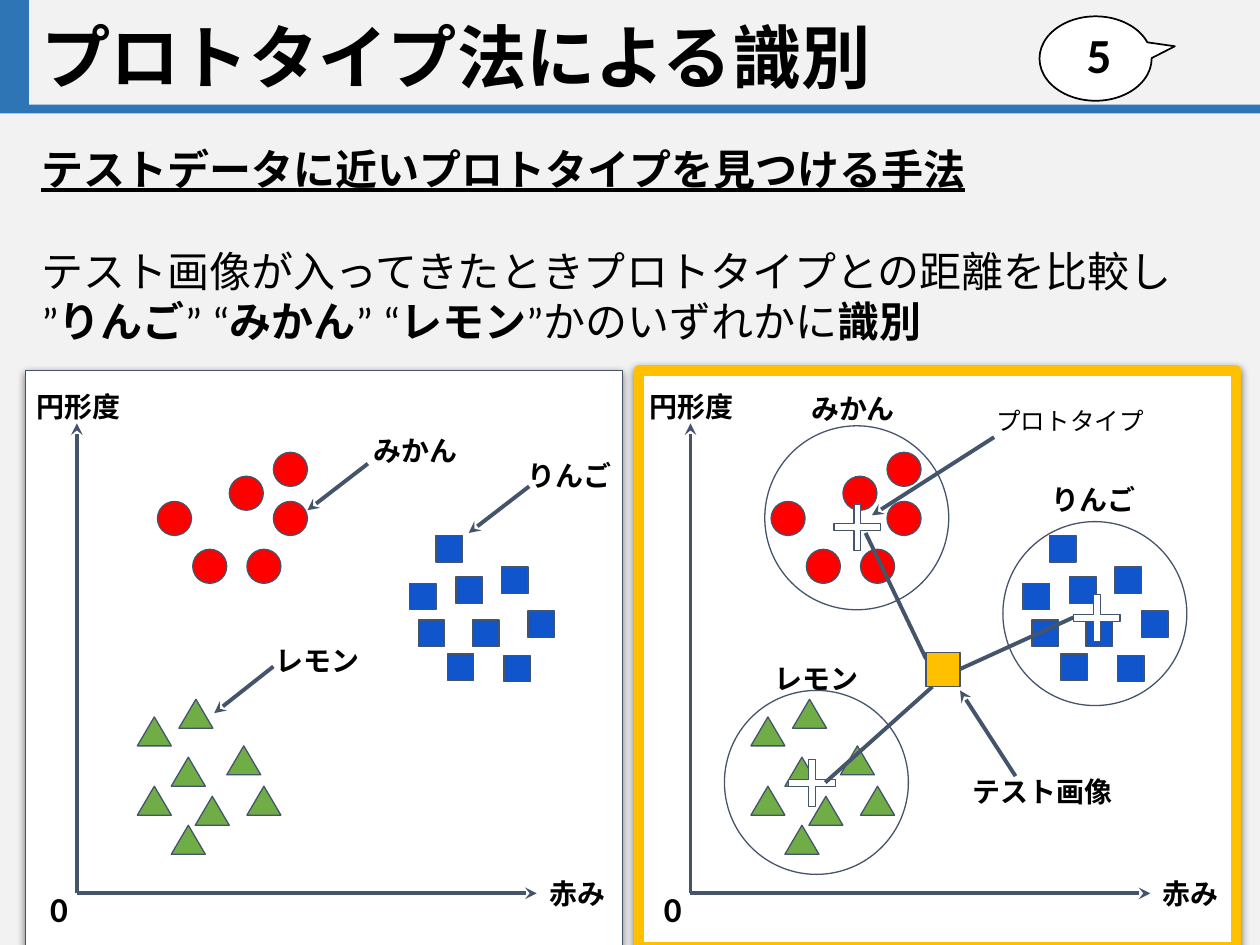
from lxml import etree
from pptx import Presentation
from pptx.dml.color import RGBColor
from pptx.enum.shapes import MSO_CONNECTOR as Connector, MSO_SHAPE as Preset
from pptx.enum.text import MSO_ANCHOR as Anchor, PP_ALIGN as Align
from pptx.oxml import parse_xml
from pptx.oxml.ns import qn
from pptx.util import Inches, Pt

NAMESPACE = "http://schemas.openxmlformats.org/drawingml/2006/main"
SLATE, BLUE, WHITE, GOLD = "44546A", "2E75B5", "FFFFFF", "FFC000"
PANEL_LEFT, PANEL_STEP = 0.2, 4.87

ORANGES = [(2.17, 3.59), (1.53, 4.36), (1.96, 4.36), (1.25, 3.98), (1.82, 3.78), (2.17, 3.98)]
LEMONS = [(1.09, 6.24), (1.55, 6.32), (1.36, 6.01), (1.96, 6.24),
          (1.8, 5.92), (1.09, 5.69), (1.36, 6.55), (1.42, 5.55)]
APPLES = [(3.46, 4.25), (4, 5.2), (4.19, 4.85), (3.75, 4.92), (3.25, 4.63),
          (3.98, 4.5), (3.62, 4.58), (3.55, 5.19), (3.32, 4.92)]
CLASSES = [
    (ORANGES, Preset.FLOWCHART_CONNECTOR, 0.27, 0.27, "FF0000"),
    (LEMONS, Preset.FLOWCHART_EXTRACT, 0.27, 0.23, "70AD47"),
    (APPLES, Preset.FLOWCHART_PROCESS, 0.21, 0.21, "1155CC"),
]


def color(value):
    """Turn a hex string into a colour."""
    return RGBColor.from_string(value)


def add_shape(slide, preset, left, top, width, height, fill=None, line=SLATE, weight=0.75):
    """Add a preset shape without shadow; None means no fill or no line."""
    shape = slide.shapes.add_shape(preset, Inches(left), Inches(top), Inches(width), Inches(height))
    shape.shadow.inherit = False
    if fill:
        shape.fill.solid()
        shape.fill.fore_color.rgb = color(fill)
    else:
        shape.fill.background()
    if line:
        shape.line.color.rgb = color(line)
        shape.line.width = Pt(weight)
    else:
        shape.line.fill.background()
    return shape


def add_line(slide, start, end, arrow=True):
    """Add a straight line, with an arrowhead at its end if wanted."""
    points = [Inches(value) for value in (*start, *end)]
    connector = slide.shapes.add_connector(Connector.STRAIGHT, *points)
    connector.line.color.rgb = color(SLATE)
    connector.line.width = Pt(2.25)
    if arrow:
        etree.SubElement(connector.line._get_or_add_ln(), qn("a:tailEnd"), type="stealth")
    etree.SubElement(connector._element.spPr, qn("a:effectLst"))


def add_text(slide, text, left, top, width, height, size=16, bold=True, font="Calibri",
             inset=0.1, anchor=Anchor.TOP, align=Align.LEFT, spacing=None,
             underlined=None, gap_before=None, gap=0):
    """Add a text box; each asterisk switches bold, each line is a paragraph."""
    frame = slide.shapes.add_textbox(Inches(left), Inches(top), Inches(width), Inches(height)).text_frame
    frame.word_wrap = True
    frame.vertical_anchor = anchor
    frame.margin_left = frame.margin_right = Inches(0.1)
    frame.margin_top = frame.margin_bottom = Inches(inset)
    for index, content in enumerate(text.split("\n")):
        paragraph = frame.add_paragraph() if index else frame.paragraphs[0]
        paragraph.alignment = align
        paragraph.line_spacing = spacing
        if index == gap_before:
            paragraph.space_before = Pt(gap)
        for position, part in enumerate(content.split("*")):
            if not part:
                continue
            run = paragraph.add_run()
            run.text = part
            run.font.size = Pt(size)
            run.font.bold = bold != (position % 2 == 1)
            run.font.underline = index == underlined
            run.font.color.rgb = color("000000")
            run.font.name = font
            etree.SubElement(run.font._element, qn("a:ea"), typeface=font)


def add_panel(slide, shift, line, weight):
    """Add one scatter panel with axes, axis names and fruit points."""
    panel = add_shape(slide, Preset.RECTANGLE, PANEL_LEFT + shift, 2.94, 4.74, 4.58, WHITE, line, weight)
    properties = panel._element.spPr
    properties.remove(properties.find(qn("a:effectLst")))
    properties.append(parse_xml(
        f'<a:effectLst xmlns:a="{NAMESPACE}"><a:outerShdw blurRad="57150" dist="19050" dir="5400000">'
        '<a:srgbClr val="000000"><a:alpha val="50000"/></a:srgbClr></a:outerShdw></a:effectLst>'))
    origin = (0.61 + shift, 7.09)
    add_line(slide, origin, (0.61 + shift, 3.36))
    add_line(slide, origin, (4.26 + shift, 7.09))
    add_text(slide, "円形度", 0.19 + shift, 2.99, 0.96, 0.47)
    add_text(slide, "赤み", 4.26 + shift, 6.86, 0.68, 0.47)
    add_text(slide, "0", 0.3 + shift, 6.94, 0.43, 0.54, size=20)
    for points, preset, width, height, fill in CLASSES:
        for left, top in points:
            add_shape(slide, preset, left + shift, top, width, height, fill)


def add_header(slide):
    """Add the title bar, the number balloon and the explanation."""
    add_shape(slide, Preset.RECTANGLE, 0, 0.83, 10, 0.07, BLUE, None)
    add_shape(slide, Preset.RECTANGLE, 0, 0, 0.23, 0.84, BLUE, None)
    balloon = add_shape(slide, Preset.OVAL_CALLOUT, 8.25, 0.13, 0.89, 0.67, WHITE, "000000", 1)
    balloon.adjustments[0], balloon.adjustments[1] = -0.707, -0.145
    balloon._element.spPr.find(qn("a:xfrm")).set("flipH", "1")
    add_text(slide, "プロトタイプ法による識別", 0.23, 0.12, 8.02, 0.73, size=39.6,
             font="Noto Sans CJK JP", inset=0.05, anchor=Anchor.MIDDLE, spacing=0.9)
    add_text(slide, "*テストデータに近いプロトタイプを見つける手法*\n"
             "テスト画像が入ってきたときプロトタイプとの距離を比較し\n"
             "”*りんご*” “*みかん*” “*レモン*”かのいずれかに*識別*",
             0.23, 1.09, 9.53, 1.7, size=24, bold=False, inset=0.05,
             underlined=0, gap_before=1, gap=29.3)
    add_text(slide, "5", 8.18, 0.17, 0.74, 0.52, size=28, inset=0.05,
             anchor=Anchor.MIDDLE, align=Align.RIGHT)


def add_class_labels(slide):
    """Name the fruit classes in the left panel."""
    for text, left, top, start, end in [
        ("みかん", 2.87, 3.34, (2.92, 3.68), (2.44, 4.05)),
        ("りんご", 4.09, 3.54, (4.2, 3.86), (3.72, 4.23)),
        ("レモン", 2.09, 5.01, (2.17, 5.29), (1.7, 5.66)),
    ]:
        add_line(slide, start, end)
        add_text(slide, text, left, top, 0.96, 0.47)


def add_prototypes(slide):
    """Add clusters, prototypes and the test sample to the right panel."""
    clusters = [
        ("みかん", (6.34, 3.01), (6.07, 3.38), (6.62, 4), (7.35, 5.23), (6.87, 4.23)),
        ("りんご", (8.25, 3.73), (7.96, 4.14), (8.52, 4.72), (7.62, 5.31), (8.52, 4.9)),
        ("レモン", (6.05, 5.15), (5.75, 5.48), (6.26, 6.03), (7.4, 5.45), (6.55, 6.21)),
    ]
    for text, label, circle, cross, start, end in clusters:
        add_shape(slide, Preset.OVAL, *circle, 1.46, 1.46)
        add_text(slide, text, *label, 0.96, 0.47)
        prototype = add_shape(slide, Preset.CROSS, *cross, 0.37, 0.37, WHITE)
        prototype.adjustments[0] = 0.427
        add_line(slide, start, end, arrow=False)
    add_shape(slide, Preset.RECTANGLE, 7.35, 5.18, 0.27, 0.27, GOLD)
    add_line(slide, (8.06, 6.16), (7.62, 5.48))
    add_text(slide, "テスト画像", 7.62, 6.05, 1.38, 0.47)
    add_line(slide, (7.89, 3.47), (6.92, 4.09))
    add_text(slide, "プロトタイプ", 7.81, 3.12, 1.71, 0.44, size=14, bold=False)


def main():
    """Build and save the slide."""
    presentation = Presentation()
    presentation.slide_width, presentation.slide_height = Inches(10), Inches(7.5)
    slide = presentation.slides.add_slide(presentation.slide_layouts[6])
    slide.background.fill.solid()
    slide.background.fill.fore_color.rgb = color("F2F2F2")
    add_header(slide)
    add_panel(slide, 0, SLATE, 0.75)
    add_panel(slide, PANEL_STEP, GOLD, 6)
    add_class_labels(slide)
    add_prototypes(slide)
    presentation.save("out.pptx")


main()
